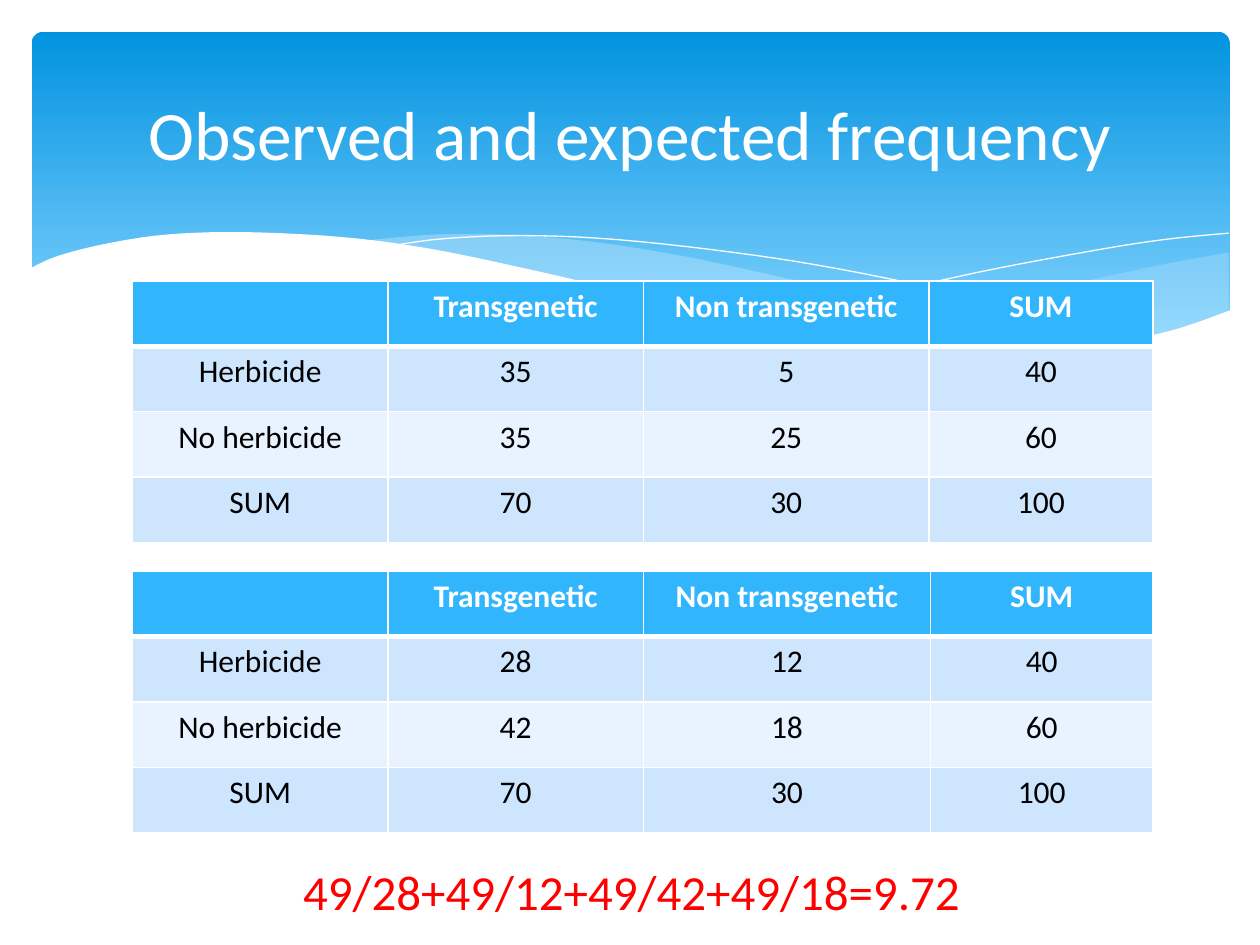
from lxml import etree
from pptx import Presentation
from pptx.dml.color import RGBColor
from pptx.enum.shapes import MSO_SHAPE
from pptx.enum.text import MSO_ANCHOR, MSO_AUTO_SIZE, PP_ALIGN
from pptx.oxml.ns import qn
from pptx.util import Cm, Pt

FONT = "Calibri"
WHITE = RGBColor(0xFF, 0xFF, 0xFF)
BLACK = RGBColor(0x00, 0x00, 0x00)
RED = RGBColor(0xFF, 0x00, 0x00)
SKY_TOP = RGBColor(0x02, 0x93, 0xE0)
SKY_BOTTOM = RGBColor(0x83, 0xD3, 0xFE)
MIST = RGBColor(0xC6, 0xE7, 0xFC)
HEADER_BLUE = RGBColor(0x31, 0xB6, 0xFD)
ROW_BLUES = (RGBColor(0xE8, 0xF3, 0xFF), RGBColor(0xCE, 0xE5, 0xFE))

RIGHT_WAVE = [(24.13, 4.45), (22.76, 4.7), (21.23, 5.03), (19.15, 5.51), (17.3, 5.89), (16.15, 6.1)]
RIGHT_WAVE_BASE = [(16.15, 6.1), (17.27, 6.25), (18.59, 6.38), (20.04, 6.43), (21.51, 6.32),
                   (22.76, 6.1), (24.13, 5.64)]
MIDDLE_WAVE = [(22.05, 6.3), (19.86, 5.97), (17.3, 5.46), (15.34, 5), (13.11, 4.52),
               (11.18, 4.22), (9.5, 4.09), (8.1, 4.09), (6.63, 4.22)]
MIDDLE_WAVE_BASE = [(6.63, 4.22), (8.56, 4.52), (10.77, 5), (12.83, 5.46), (15.06, 5.92),
                    (17.02, 6.22), (18.69, 6.4), (20.4, 6.43), (22.05, 6.3)]
FALLING_LINE = [(7.21, 4.32), (8.33, 4.17), (9.93, 4.11), (11.79, 4.19), (14.15, 4.45),
                (16.26, 4.78), (18.67, 5.28), (20.47, 5.74), (22.4, 6.27)]
RISING_LINE = [(14.94, 5.89), (17.02, 5.33), (19.08, 4.85), (21.36, 4.42), (22.83, 4.19), (24.13, 4.06)]
WHITE_WAVE = [(24.18, 5.61), (22.99, 6.02), (21.59, 6.3), (19.91, 6.4), (18.26, 6.32),
              (16.33, 6.1), (14.07, 5.72), (12.14, 5.28), (9.98, 4.78), (8, 4.37), (6.25, 4.14),
              (4.27, 4.04), (2.72, 4.09), (1.52, 4.27), (0.53, 4.52), (-0.05, 4.78)]
WHITE_WAVE_BASE = [(-0.05, 7.72), (24.18, 7.72)]


def smooth(knots, steps=5):
    padded = [knots[0], *knots, knots[-1]]
    curve = []
    for before, start, end, after in zip(padded, padded[1:], padded[2:], padded[3:]):
        for step in range(steps):
            t = step / steps
            curve.append(tuple(
                0.5 * (2 * b + (c - a) * t + (2 * a - 5 * b + 4 * c - d) * t ** 2
                       + (3 * b - a - 3 * c + d) * t ** 3)
                for a, b, c, d in zip(before, start, end, after)))
    return curve + [knots[-1]]


def add_outline(slide, left, top, points, close):
    first, *others = [(Cm(x), Cm(y)) for x, y in points]
    builder = slide.shapes.build_freeform(*first)
    builder.add_line_segments(others, close=close)
    outline = builder.convert_to_shape(left, top)
    outline.shadow.inherit = False
    return outline


def add_wave(slide, left, top, points, color, opacity=100):
    wave = add_outline(slide, left, top, points, True)
    wave.fill.solid()
    wave.fill.fore_color.rgb = color
    wave.line.fill.background()
    if opacity < 100:
        tint = wave.fill._xPr.find(qn("a:solidFill"))[0]
        etree.SubElement(tint, qn("a:alpha")).set("val", str(opacity * 1000))


def add_banner(slide, left, top, width, height):
    sky = slide.shapes.add_shape(MSO_SHAPE.ROUNDED_RECTANGLE, left, top, width, height)
    sky.adjustments[0] = 0.034
    sky.shadow.inherit = False
    sky.line.fill.background()
    sky.fill.gradient()
    sky.fill.gradient_angle = 270
    for stop, color, position in zip(sky.fill.gradient_stops, (SKY_TOP, SKY_BOTTOM), (0, 0.9)):
        stop.color.rgb = color
        stop.position = position

    add_wave(slide, left, top, smooth(RIGHT_WAVE) + smooth(RIGHT_WAVE_BASE), MIST, 29)
    add_wave(slide, left, top, smooth(MIDDLE_WAVE) + smooth(MIDDLE_WAVE_BASE), MIST, 40)
    for knots in (FALLING_LINE, RISING_LINE):
        crest = add_outline(slide, left, top, smooth(knots), False)
        crest.fill.background()
        crest.line.color.rgb = WHITE
        crest.line.width = Pt(0)
    add_wave(slide, left, top, smooth(WHITE_WAVE) + WHITE_WAVE_BASE, WHITE)


def format_text(frame, size, color, bold=False):
    for paragraph in frame.paragraphs:
        paragraph.alignment = PP_ALIGN.CENTER
        for font in [paragraph.font] + [run.font for run in paragraph.runs]:
            font.name = FONT
            font.size = Pt(size)
            font.bold = bold
            font.color.rgb = color


def place_title(slide, left, top, width, height):
    title = slide.shapes.title
    title.left, title.top, title.width, title.height = left, top, width, height
    title.text_frame.text = "Observed and expected frequency"
    title.text_frame.vertical_anchor = MSO_ANCHOR.MIDDLE
    title.text_frame.auto_size = MSO_AUTO_SIZE.NONE
    format_text(title.text_frame, 39.6, WHITE)
    slide.shapes._spTree.append(title._element)


def add_borders(cell, bottom_width):
    properties = cell._tc.get_or_add_tcPr()
    widths = {"a:lnL": 1, "a:lnR": 1, "a:lnT": 1, "a:lnB": bottom_width}
    for position, (side, width) in enumerate(widths.items()):
        border = etree.Element(qn(side), w=str(Pt(width)))
        paint = etree.SubElement(border, qn("a:solidFill"))
        etree.SubElement(paint, qn("a:srgbClr")).set("val", str(WHITE))
        properties.insert(position, border)


def add_frequencies(slide, left, top, column_widths, row_height, herbicide, no_herbicide):
    totals = [sum(pair) for pair in zip(herbicide, no_herbicide)]
    rows = [["", "Transgenetic", "Non transgenetic", "SUM"]]
    for label, counts in (("Herbicide", herbicide), ("No herbicide", no_herbicide), ("SUM", totals)):
        rows.append([label, *counts, sum(counts)])

    table = slide.shapes.add_table(len(rows), len(column_widths), left, top,
                                   sum(column_widths), row_height * len(rows)).table
    for column, width in zip(table.columns, column_widths):
        column.width = width
    for r, values in enumerate(rows):
        table.rows[r].height = row_height
        is_header = r == 0
        for c, value in enumerate(values):
            cell = table.cell(r, c)
            cell.text_frame.text = str(value)
            format_text(cell.text_frame, 18, WHITE if is_header else BLACK, is_header)
            cell.fill.solid()
            cell.fill.fore_color.rgb = HEADER_BLUE if is_header else ROW_BLUES[r % 2]
            add_borders(cell, 3 if is_header else 1)


def add_formula(slide, left, top, width, height):
    formula = slide.shapes.add_textbox(left, top, width, height).text_frame
    formula.word_wrap = True
    formula.auto_size = MSO_AUTO_SIZE.SHAPE_TO_FIT_TEXT
    formula.text = "49/28+49/12+49/42+49/18=9.72"
    format_text(formula, 28, RED)


def main():
    deck = Presentation()
    deck.slide_width, deck.slide_height = Cm(25.4), Cm(19.05)
    slide = deck.slides.add_slide(deck.slide_layouts[5])
    add_banner(slide, Cm(0.64), Cm(0.64), Cm(24.15), Cm(6.86))
    observed_widths = [Cm(5.15), Cm(5.15), Cm(5.76), Cm(4.51)]
    expected_widths = [Cm(5.15), Cm(5.15), Cm(5.79), Cm(4.48)]
    add_frequencies(slide, Cm(2.67), Cm(5.66), observed_widths, Cm(1.32), (35, 5), (35, 25))
    place_title(slide, Cm(1.27), Cm(0.94), Cm(22.86), Cm(3.48))
    add_frequencies(slide, Cm(2.67), Cm(11.51), expected_widths, Cm(1.32), (28, 12), (42, 18))
    add_formula(slide, Cm(3.99), Cm(17.25), Cm(17.48), Cm(1.45))
    deck.save("out.pptx")


if __name__ == "__main__":
    main()
